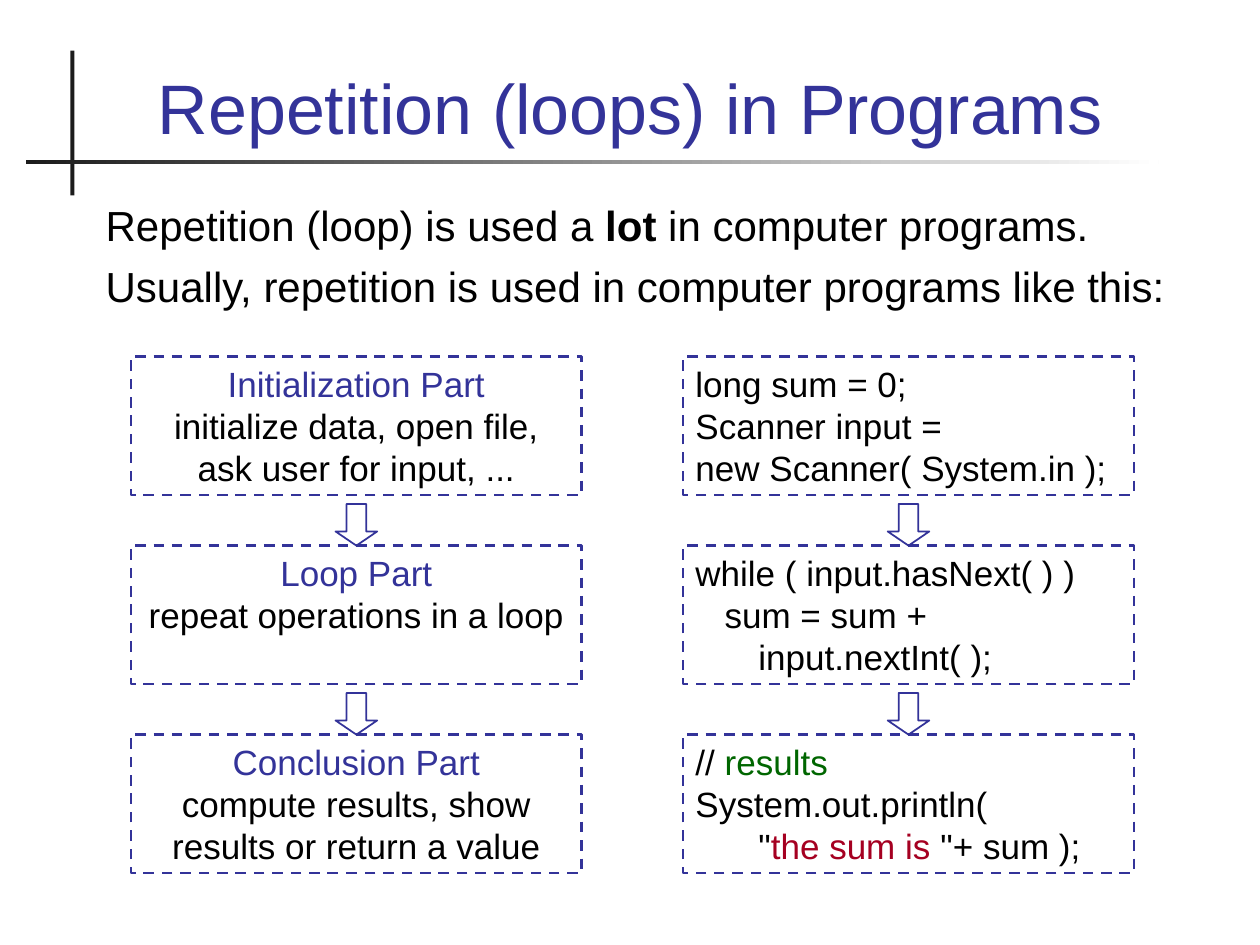
from lxml import etree
from pptx import Presentation
from pptx.dml.color import RGBColor
from pptx.enum.dml import MSO_LINE
from pptx.enum.shapes import MSO_SHAPE
from pptx.enum.text import MSO_ANCHOR, PP_ALIGN
from pptx.oxml.ns import qn
from pptx.util import Cm, Pt

RECTANGLE, DOWN_ARROW = MSO_SHAPE.RECTANGLE, MSO_SHAPE.DOWN_ARROW
DASH = MSO_LINE.DASH
TOP, BOTTOM = MSO_ANCHOR.TOP, MSO_ANCHOR.BOTTOM
LEFT, CENTER = PP_ALIGN.LEFT, PP_ALIGN.CENTER

COLORS = {
    "blue": "333399",
    "black": "000000",
    "rule": "1C1C1C",
    "white": "FFFFFF",
    "comment": "006600",
    "string": "A50021",
}


class LoopSlide:
    font = "Arial"
    code_tab = Cm(1.27)

    def __init__(self, slide):
        self.slide = slide

    def color(self, name):
        return RGBColor.from_string(COLORS[name])

    def shape(self, kind, left, top, width, height):
        shape = self.slide.shapes.add_shape(
            kind, Cm(left), Cm(top), Cm(width), Cm(height))
        shape.shadow.inherit = False
        return shape

    def outline(self, shape, weight):
        shape.fill.background()
        shape.line.color.rgb = self.color("blue")
        shape.line.width = Pt(weight)

    def fill_lines(self, frame, lines, size, align=LEFT, anchor=TOP, gap=0):
        frame.word_wrap = True
        frame.vertical_anchor = anchor
        for index, line in enumerate(lines):
            paragraph = frame.paragraphs[0] if index == 0 else frame.add_paragraph()
            paragraph.alignment = align
            paragraph.space_before = Pt(gap if index else 0)
            if any("\t" in text for text, *_ in line):
                properties = paragraph._p.get_or_add_pPr()
                tabs = etree.SubElement(properties, qn("a:tabLst"))
                etree.SubElement(tabs, qn("a:tab"), pos=str(self.code_tab), algn="l")
            for text, color, *bold in line:
                run = paragraph.add_run()
                run.text = text
                run.font.name = self.font
                run.font.size = Pt(size)
                run.font.bold = bool(bold)
                run.font.color.rgb = self.color(color)

    def text(self, left, top, width, height, lines, size, **style):
        box = self.slide.shapes.add_textbox(
            Cm(left), Cm(top), Cm(width), Cm(height))
        self.fill_lines(box.text_frame, lines, size, **style)

    def box(self, left, top, width, height, lines, align):
        box = self.shape(RECTANGLE, left, top, width, height)
        self.outline(box, 1.5)
        box.line.dash_style = DASH
        self.fill_lines(box.text_frame, lines, 20, align=align)

    def arrow(self, left, top, size):
        arrow = self.shape(DOWN_ARROW, left, top, size, size)
        arrow.adjustments[0] = 0.47
        arrow.adjustments[1] = 0.34
        self.outline(arrow, 1)

    def rule(self, left, top, width, height, fade=False):
        rule = self.shape(RECTANGLE, left, top, width, height)
        rule.line.fill.background()
        if fade:
            rule.fill.gradient()
            rule.fill.gradient_angle = 0
            for stop, name in zip(rule.fill.gradient_stops, ("rule", "white")):
                stop.color.rgb = self.color(name)
        else:
            rule.fill.solid()
            rule.fill.fore_color.rgb = self.color("rule")


TITLE = [[("Repetition (loops) in Programs", "blue")]]
INTRO = [
    [("Repetition (loop) is used a ", "black"), ("lot", "black", True),
     (" in computer programs.", "black")],
    [("Usually, repetition is used in computer programs like this:", "black")],
]
PARTS = [
    [[("Initialization Part", "blue")],
     [("initialize data, open file, ask user for input, ...", "black")]],
    [[("Loop Part", "blue")],
     [("repeat operations in a loop", "black")]],
    [[("Conclusion Part", "blue")],
     [("compute results, show results or return a value", "black")]],
]
CODE = [
    [[("long sum = 0;", "black")],
     [("Scanner input =", "black")],
     [("new Scanner( System.in );", "black")]],
    [[("while ( input.hasNext( ) )", "black")],
     [("   sum = sum +", "black")],
     [("\tinput.nextInt( );", "black")]],
    [[("// ", "black"), ("results", "comment")],
     [("System.out.println(", "black")],
     [("\t\"", "black"), ("the sum is ", "string"), ("\"+ sum );", "black")]],
]
COLUMNS = [(2.64, PARTS, CENTER), (13.77, CODE, LEFT)]
FIRST_TOP, ROW_PITCH = 7.19, 3.81
BOX_WIDTH, BOX_HEIGHT = 9.09, 2.79
ARROW_SIZE = 0.84


def main():
    deck = Presentation()
    deck.slide_width, deck.slide_height = Cm(25.4), Cm(19.05)
    page = LoopSlide(deck.slides.add_slide(deck.slide_layouts[6]))

    page.rule(1.42, 1.02, 0.08, 2.92)
    page.rule(0.53, 3.23, 22.83, 0.08, fade=True)
    page.text(1.7, 0.71, 22, 2.41, TITLE, 40, align=CENTER, anchor=BOTTOM)
    page.text(1.88, 3.89, 22, 2.9, INTRO, 24, gap=6)

    for left, steps, align in COLUMNS:
        for row, lines in enumerate(steps):
            top = FIRST_TOP + row * ROW_PITCH
            page.box(left, top, BOX_WIDTH, BOX_HEIGHT, lines, align)
            if row:
                page.arrow(left + (BOX_WIDTH - ARROW_SIZE) / 2,
                           top - ARROW_SIZE, ARROW_SIZE)

    deck.save("out.pptx")


if __name__ == "__main__":
    main()
